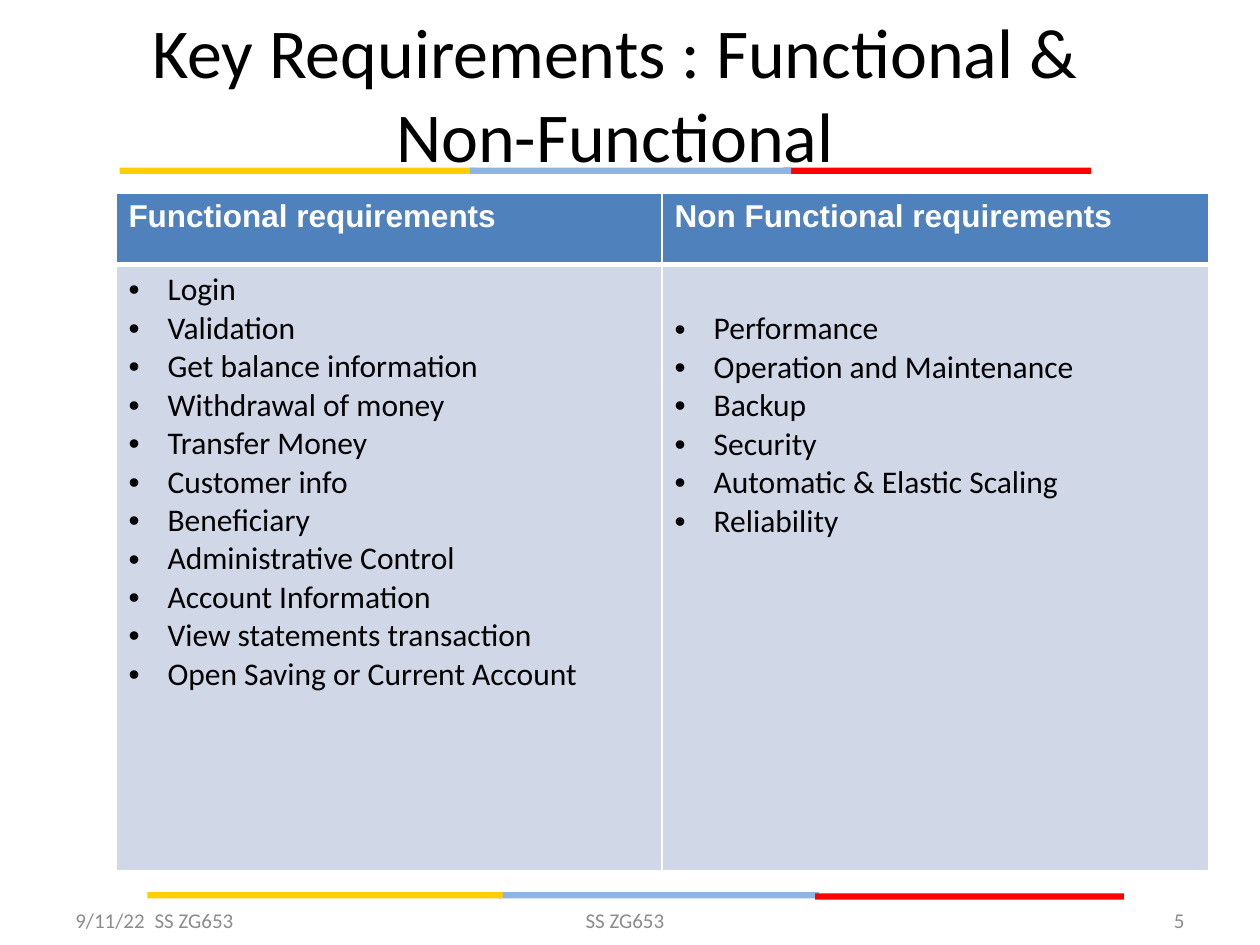
from dataclasses import dataclass

from lxml import etree
from pptx import Presentation
from pptx import util as u
from pptx.dml.color import RGBColor
from pptx.enum import shapes, text
from pptx.oxml import ns


@dataclass(frozen=True)
class Theme:
    yellow: str = "FFCE00"
    blue: str = "8EB4E3"
    red: str = "FF0000"
    header: str = "4F81BD"
    body: str = "D0D8E8"
    white: str = "FFFFFF"
    black: str = "000000"
    grey: str = "8C8C8C"
    body_font: str = "Calibri"
    header_font: str = "Arial"
    title_size: int = 40
    table_size: int = 18
    footer_size: int = 12


class SlideBuilder:
    def __init__(self, slide, theme):
        self.slide = slide
        self.theme = theme

    def format_runs(self, frame, size, color, font=None, bold=False):
        for paragraph in frame.paragraphs:
            for run in paragraph.runs:
                run.font.name = font or self.theme.body_font
                run.font.size = u.Pt(size)
                run.font.bold = bold
                run.font.color.rgb = RGBColor.from_string(color)

    def title(self, wording, left, top, width, height):
        heading = self.slide.shapes.title
        heading.left, heading.top = u.Inches(left), u.Inches(top)
        heading.width, heading.height = u.Inches(width), u.Inches(height)
        frame = heading.text_frame
        frame.text = wording
        frame.auto_size = text.MSO_AUTO_SIZE.NONE
        frame.vertical_anchor = text.MSO_ANCHOR.MIDDLE
        for paragraph in frame.paragraphs:
            paragraph.alignment = text.PP_ALIGN.CENTER
        self.format_runs(frame, self.theme.title_size, self.theme.black)

    def stripe(self, left, top, width, color):
        bar = self.slide.shapes.add_shape(
            shapes.MSO_SHAPE.RECTANGLE,
            u.Inches(left), u.Inches(top), u.Inches(width), u.Inches(0.05))
        bar.shadow.inherit = False
        bar.fill.solid()
        bar.fill.fore_color.rgb = RGBColor.from_string(color)
        bar.line.fill.background()

    def footer(self, wording, left, width, align):
        box = self.slide.shapes.add_textbox(
            u.Inches(left), u.Inches(7.1), u.Inches(width), u.Inches(0.4))
        frame = box.text_frame
        frame.word_wrap = True
        frame.vertical_anchor = text.MSO_ANCHOR.MIDDLE
        frame.text = wording
        frame.paragraphs[0].alignment = align
        self.format_runs(frame, self.theme.footer_size, self.theme.grey)

    def table(self, columns, left, top, width, row_heights):
        grid = self.slide.shapes.add_table(
            len(row_heights), len(columns), u.Inches(left), u.Inches(top),
            u.Inches(width), u.Inches(sum(row_heights))).table
        for row, height in zip(grid.rows, row_heights):
            row.height = u.Inches(height)
        for index, (heading, items, top_margin) in enumerate(columns):
            grid.columns[index].width = u.Inches(width / len(columns))
            self.header_cell(grid.cell(0, index), heading)
            self.list_cell(grid.cell(1, index), items, top_margin)

    def header_cell(self, cell, heading):
        self.borders(cell, top=1, bottom=3)
        self.fill(cell, self.theme.header)
        cell.text_frame.text = heading
        self.format_runs(cell.text_frame, self.theme.table_size,
                         self.theme.white, self.theme.header_font, bold=True)

    def list_cell(self, cell, items, top_margin):
        self.borders(cell, top=3, bottom=1)
        self.fill(cell, self.theme.body)
        cell.margin_top = u.Inches(top_margin)
        cell.text_frame.text = "\n".join(items)
        indent = u.Inches(0.31)
        for paragraph in cell.text_frame.paragraphs:
            properties = paragraph._p.get_or_add_pPr()
            properties.set("marL", str(indent))
            properties.set("indent", str(-indent))
            etree.SubElement(properties, ns.qn("a:buFont"), typeface="Arial")
            etree.SubElement(properties, ns.qn("a:buChar"), char="•")
        self.format_runs(cell.text_frame, self.theme.table_size, self.theme.black)

    def borders(self, cell, top, bottom):
        properties = cell._tc.get_or_add_tcPr()
        for side, points in (("L", 1), ("R", 1), ("T", top), ("B", bottom)):
            line = etree.SubElement(properties, ns.qn(f"a:ln{side}"),
                                    w=str(u.Pt(points)))
            solid = etree.SubElement(line, ns.qn("a:solidFill"))
            etree.SubElement(solid, ns.qn("a:srgbClr"), val=self.theme.white)

    def fill(self, cell, color):
        cell.fill.solid()
        cell.fill.fore_color.rgb = RGBColor.from_string(color)


FUNCTIONAL = [
    "Login", "Validation", "Get balance information", "Withdrawal of money",
    "Transfer Money", "Customer info", "Beneficiary", "Administrative Control",
    "Account Information", "View statements transaction",
    "Open Saving or Current Account",
]
NON_FUNCTIONAL = [
    "Performance", "Operation and Maintenance", "Backup", "Security",
    "Automatic & Elastic Scaling", "Reliability",
]


def main():
    deck = Presentation()
    deck.slide_width, deck.slide_height = u.Inches(10), u.Inches(7.5)
    theme = Theme()
    page = SlideBuilder(deck.slides.add_slide(deck.slide_layouts[5]), theme)

    # Three-colour rules under the title and above the footer
    for left, top, width, color in (
        (6.22, 1.33, 2.44, theme.red),
        (0.95, 1.33, 2.82, theme.yellow),
        (3.73, 1.33, 2.55, theme.blue),
        (3.95, 7.08, 2.55, theme.blue),
        (6.47, 7.09, 2.45, theme.red),
        (1.17, 7.08, 2.82, theme.yellow),
    ):
        page.stripe(left, top, width, color)

    # Title
    page.title("Key Requirements : Functional &\vNon-Functional",
               0.38, 0.22, 9, 1.03)

    # Requirements table; the second list starts one line lower
    page.table(
        [("Functional requirements", FUNCTIONAL, 0.05),
         ("Non Functional requirements", NON_FUNCTIONAL, 0.36)],
        0.92, 1.53, 8.67, (0.57, 4.81))

    # Footer: course code, date and slide number
    align = text.PP_ALIGN
    page.footer("SS ZG653", 3.42, 3.08, align.CENTER)
    page.footer("9/11/22", 0.5, 2.33, align.LEFT)
    page.footer("5", 7.17, 2.33, align.RIGHT)
    page.footer("SS ZG653", 0, 3.08, align.CENTER)

    deck.save("out.pptx")


if __name__ == "__main__":
    main()
